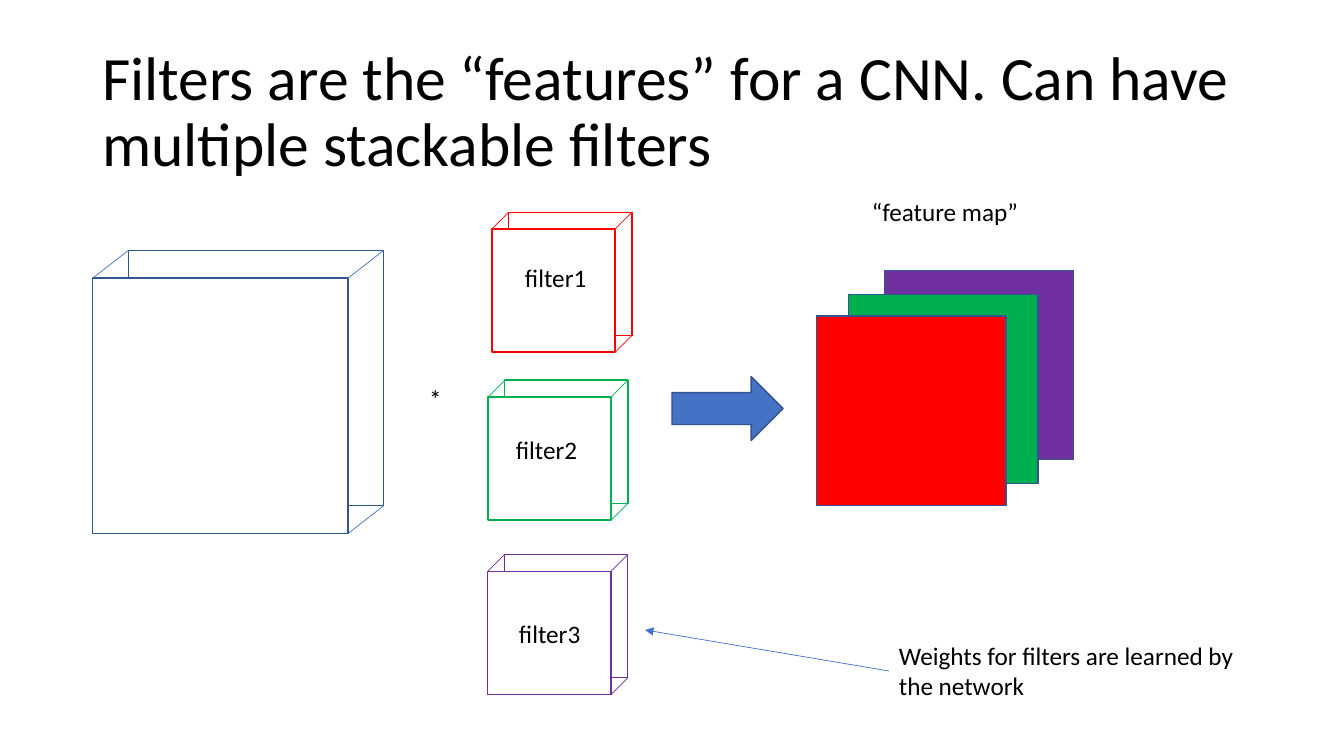
import pptx
import pptx.util
import pptx.dml.color
import pptx.enum.shapes
import pptx.enum.text
import pptx.oxml.xmlchemy

Pt = pptx.util.Pt
SHAPE = pptx.enum.shapes.MSO_SHAPE
ANCHOR = pptx.enum.text.MSO_ANCHOR

COLORS = {
    "text": "000000",
    "white": "FFFFFF",
    "blue": "4472C4",
    "navy": "325491",
    "red": "FF0000",
    "green": "00B050",
    "purple": "7030A0",
}
FONT = "Calibri"
MAP_SIZE = 135.4
FILTER_SIZE = 88
FILTER_DEPTH = 12


def rgb(name):
    return pptx.dml.color.RGBColor.from_string(COLORS[name])


def add_box(s, kind, x, y, w, h, fill, line):
    """Add a preset shape; a fill of None leaves it hollow."""
    sp = s.shapes.add_shape(kind, Pt(x), Pt(y), Pt(w), Pt(h))
    sp.shadow.inherit = False
    if fill:
        sp.fill.solid()
        sp.fill.fore_color.rgb = rgb(fill)
    else:
        sp.fill.background()
    sp.line.color.rgb = rgb(line)
    sp.line.width = Pt(1)
    return sp


def add_line(s, x1, y1, x2, y2, color):
    line = s.shapes.add_connector(
        pptx.enum.shapes.MSO_CONNECTOR.STRAIGHT, Pt(x1), Pt(y1), Pt(x2), Pt(y2))
    line.line.color.rgb = rgb(color)
    line.line.width = Pt(0.5)
    line._element.spPr.append(pptx.oxml.xmlchemy.OxmlElement("a:effectLst"))
    return line


def add_arrowhead(line):
    tail = pptx.oxml.xmlchemy.OxmlElement("a:tailEnd")
    tail.set("type", "triangle")
    line.line._get_or_add_ln().append(tail)


def add_text(s, text, x, y, w, h, size=18, wrap=True, anchor=ANCHOR.TOP, spacing=None):
    sp = s.shapes.add_textbox(Pt(x), Pt(y), Pt(w), Pt(h))
    tf = sp.text_frame
    tf.word_wrap = wrap
    tf.vertical_anchor = anchor
    tf.text = text
    p = tf.paragraphs[0]
    if spacing:
        p.line_spacing = spacing
    font = p.runs[0].font
    font.name = FONT
    font.size = Pt(size)
    font.color.rgb = rgb("text")
    return sp


def add_cube(s, x, y, size, dx, dy, outline, edge):
    """Draw a hollow back face, a white front face at (x, y) and three joining edges."""
    add_box(s, SHAPE.RECTANGLE, x + dx, y - dy, size, size, None, outline)
    add_box(s, SHAPE.RECTANGLE, x, y, size, size, "white", outline)
    for cx, cy in ((x, y), (x + size, y), (x + size, y + size)):
        add_line(s, cx, cy, cx + dx, cy - dy, edge)


def main():
    prs = pptx.Presentation()
    prs.slide_width = Pt(960)
    prs.slide_height = Pt(540)
    s = prs.slides.add_slide(prs.slide_layouts[6])

    add_text(s, "Filters are the “features” for a CNN. Can have multiple stackable filters",
             66, 28.75, 828, 104.4, size=44, anchor=ANCHOR.MIDDLE, spacing=0.9)

    # Input volume and convolution sign
    add_cube(s, 66.2, 198.7, 182.4, 25.4, 19.8, "navy", "blue")
    add_text(s, "*", 299.5, 270, 23.8, 29, wrap=False)

    # Filters: front-face corner, then label corner
    filters = (
        ("filter1", "red", 351.4, 163.6, 367.9, 183.6),
        ("filter2", "green", 348.6, 283.6, 361.4, 306.7),
        ("filter3", "purple", 348.4, 408.2, 363.6, 437.8),
    )
    for label, color, x, y, label_x, label_y in filters:
        add_cube(s, x, y, FILTER_SIZE, FILTER_DEPTH, FILTER_DEPTH, color, color)
        add_text(s, label, label_x, label_y, 65.5, 29)

    # Stacked feature map
    add_box(s, SHAPE.RIGHT_ARROW, 480, 269, 79.4, 45.6, "blue", "navy")
    for color, x, y in (("purple", 631.6, 193), ("green", 606, 210.2), ("red", 583.2, 225.6)):
        add_box(s, SHAPE.RECTANGLE, x, y, MAP_SIZE, MAP_SIZE, color, "navy")
    add_text(s, "“feature map”", 615.6, 136.8, 135.4, 29)

    note = add_text(s, "Weights for filters are learned by the network", 635, 453.8, 264.2, 51)
    pointer = add_line(s, 635, 479.3, 460.8, 450, "blue")
    pointer.begin_connect(note, 1)
    add_arrowhead(pointer)

    prs.save("out.pptx")


if __name__ == "__main__":
    main()
